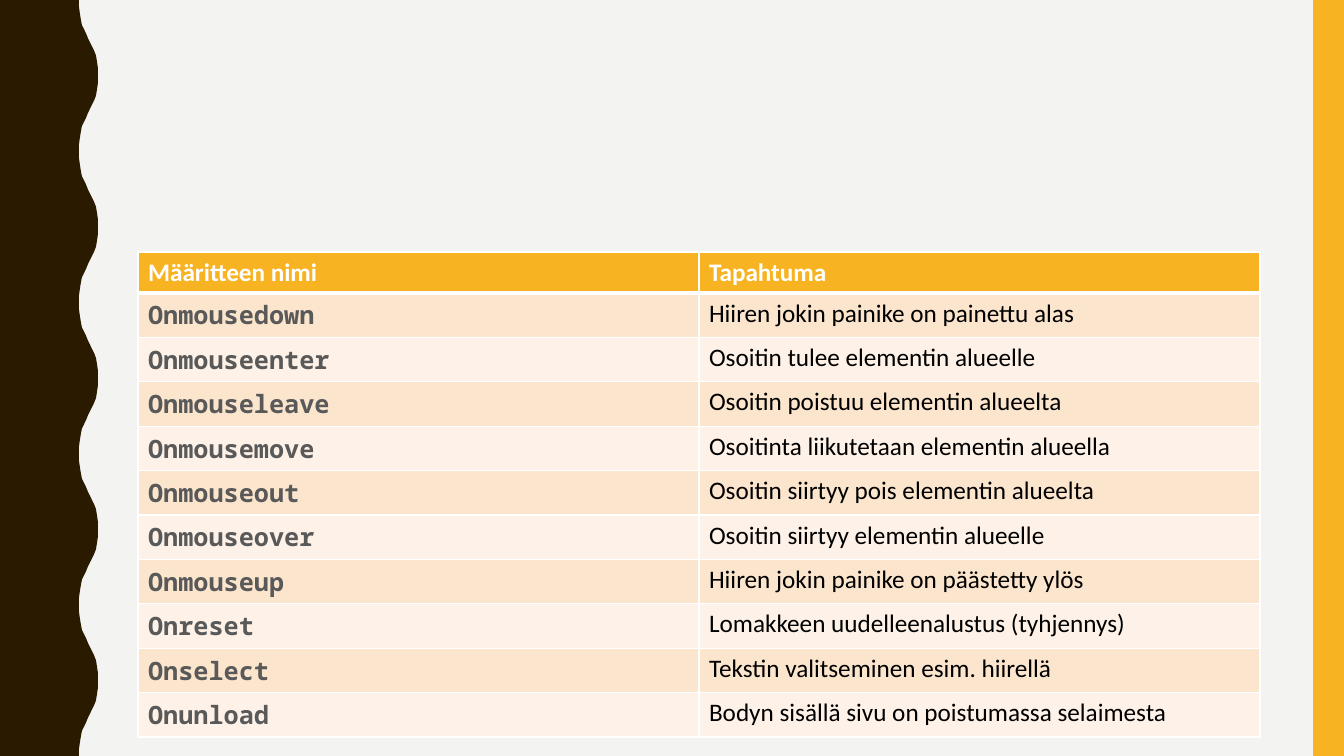
import lxml.etree
import pptx
import pptx.dml.color
import pptx.enum.shapes
import pptx.oxml.ns
import pptx.util

RGB = pptx.dml.color.RGBColor
BACKGROUND = RGB(0xF3, 0xF3, 0xF2)
BROWN = RGB(0x2A, 0x1A, 0x00)
AMBER = RGB(0xF8, 0xB3, 0x23)
PEACH = RGB(0xFC, 0xE5, 0xCD)
CREAM = RGB(0xFE, 0xF2, 0xE8)
WHITE = RGB(0xFF, 0xFF, 0xFF)
BLACK = RGB(0x00, 0x00, 0x00)
GREY = RGB(0x59, 0x59, 0x59)

EMU_PER_PX = 914400 / 100.8
WIDTH, HEIGHT = 1344, 756
WAVES = 5
HALF_WAVE = [
    (79, 0), (79, 7), (80, 14), (81, 20), (82, 25), (84, 29), (86, 33), (88, 38),
    (90, 42), (92, 46), (94, 50), (96, 55), (97, 61), (98, 68), (98, 75),
]
WAVE_UNITS = 150

HEADINGS = ("Määritteen nimi", "Tapahtuma")
EVENTS = [
    ("Onmousedown", "Hiiren jokin painike on painettu alas"),
    ("Onmouseenter", "Osoitin tulee elementin alueelle"),
    ("Onmouseleave", "Osoitin poistuu elementin alueelta"),
    ("Onmousemove", "Osoitinta liikutetaan elementin alueella"),
    ("Onmouseout", "Osoitin siirtyy pois elementin alueelta"),
    ("Onmouseover", "Osoitin siirtyy elementin alueelle"),
    ("Onmouseup", "Hiiren jokin painike on päästetty ylös"),
    ("Onreset", "Lomakkeen uudelleenalustus (tyhjennys)"),
    ("Onselect", "Tekstin valitseminen esim. hiirellä"),
    ("Onunload", "Bodyn sisällä sivu on poistumassa selaimesta"),
]


def px(length):
    """Turn a length in px into EMU."""
    return pptx.util.Emu(round(length * EMU_PER_PX))


def paint(shape, color):
    """Give a shape a plain fill without line or shadow."""
    shape.shadow.inherit = False
    shape.fill.solid()
    shape.fill.fore_color.rgb = color
    shape.line.fill.background()


def write(frame, text, *, color, font="Calibri", size=18, bold=False):
    """Put one formatted run of text into a text frame."""
    run = frame.paragraphs[0].add_run()
    run.text = text
    run.font.name = font
    run.font.size = pptx.util.Pt(size)
    run.font.bold = bold
    run.font.color.rgb = color


def rule_cell(cell, top=1, bottom=1):
    """Draw white borders around a cell, with widths in points."""
    properties = cell._tc.get_or_add_tcPr()
    for side, width in (("L", 1), ("R", 1), ("T", top), ("B", bottom)):
        border = lxml.etree.SubElement(
            properties, pptx.oxml.ns.qn(f"a:ln{side}"), w=str(pptx.util.Pt(width)))
        fill = lxml.etree.SubElement(border, pptx.oxml.ns.qn("a:solidFill"))
        lxml.etree.SubElement(fill, pptx.oxml.ns.qn("a:srgbClr"), val=str(WHITE))


def add_wavy_edge(slide, left, top, height):
    """Draw the brown band whose right edge is a row of equal waves."""
    period = height / WAVES
    profile = HALF_WAVE + [(x, WAVE_UNITS - y) for x, y in HALF_WAVE[-2::-1]]
    edge = [(px(left + x), px(top + (wave + y / WAVE_UNITS) * period))
            for wave in range(WAVES) for x, y in profile]
    outline = slide.shapes.build_freeform(px(left), px(top), scale=1.0)
    outline.add_line_segments(edge + [(px(left), px(top + height))], close=True)
    paint(outline.convert_to_shape(), BROWN)


def add_side_bar(slide, left, top, width, height):
    """Draw the amber bar along the right side."""
    bar = slide.shapes.add_shape(
        pptx.enum.shapes.MSO_SHAPE.RECTANGLE, px(left), px(top), px(width), px(height))
    paint(bar, AMBER)


def add_event_table(slide, left, top, width, row_height):
    """Build the table of event attributes under its heading row."""
    rows = [HEADINGS] + EVENTS
    table = slide.shapes.add_table(
        len(rows), len(HEADINGS), px(left), px(top), px(width),
        px(row_height * len(rows))).table
    for index, texts in enumerate(rows):
        table.rows[index].height = px(row_height)
        for column, text in enumerate(texts):
            cell = table.cell(index, column)
            rule_cell(cell, top=3 if index == 1 else 1, bottom=3 if index == 0 else 1)
            cell.fill.solid()
            if index == 0:
                cell.fill.fore_color.rgb = AMBER
                write(cell.text_frame, text, color=WHITE, bold=True)
                continue
            cell.fill.fore_color.rgb = PEACH if index % 2 else CREAM
            if column == 0:
                write(cell.text_frame, text, color=GREY, font="Noto Sans Mono", bold=True)
            else:
                write(cell.text_frame, text, color=BLACK)


def main():
    """Build and save the slide."""
    deck = pptx.Presentation()
    deck.slide_width, deck.slide_height = px(WIDTH), px(HEIGHT)
    slide = deck.slides.add_slide(deck.slide_layouts[6])
    slide.background.fill.solid()
    slide.background.fill.fore_color.rgb = BACKGROUND
    add_wavy_edge(slide, 0, 0, HEIGHT)
    add_side_bar(slide, WIDTH - 31, 0, 31, HEIGHT)
    add_event_table(slide, 138, 252, 1122, 41)
    deck.save("out.pptx")


if __name__ == "__main__":
    main()
